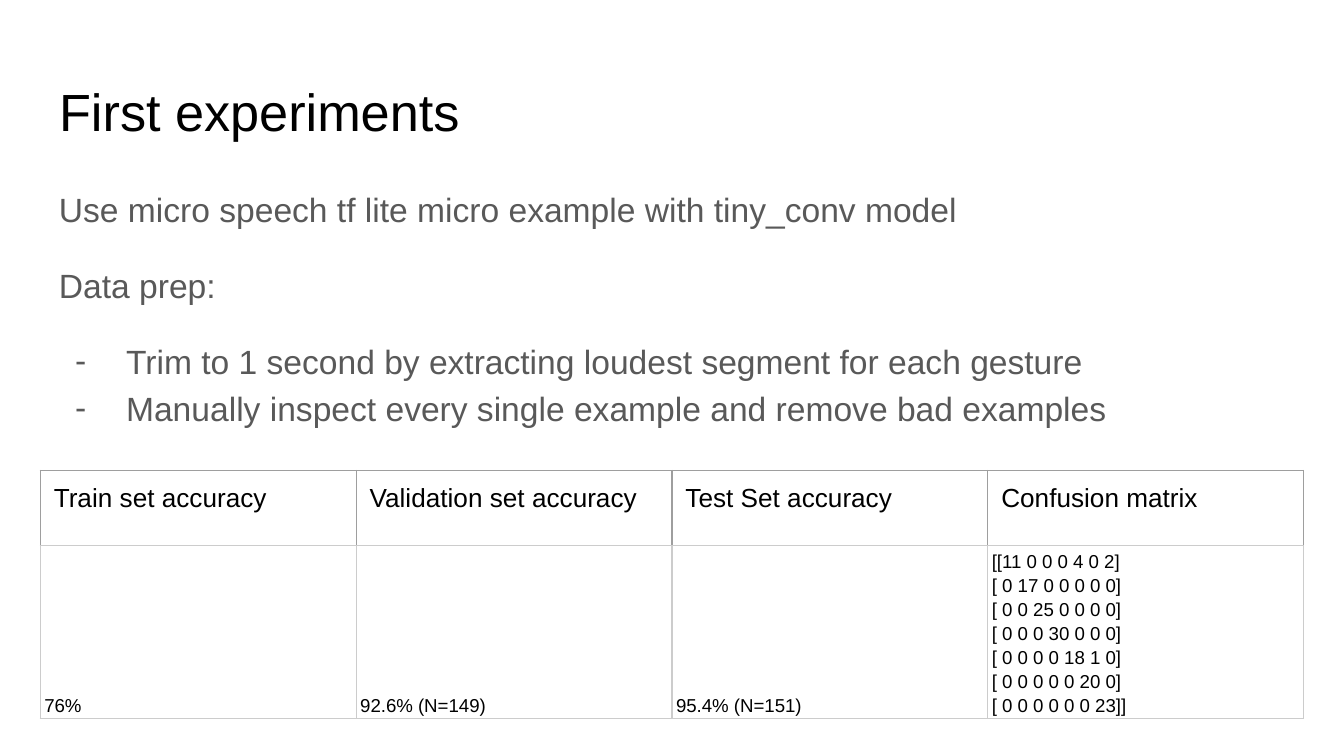
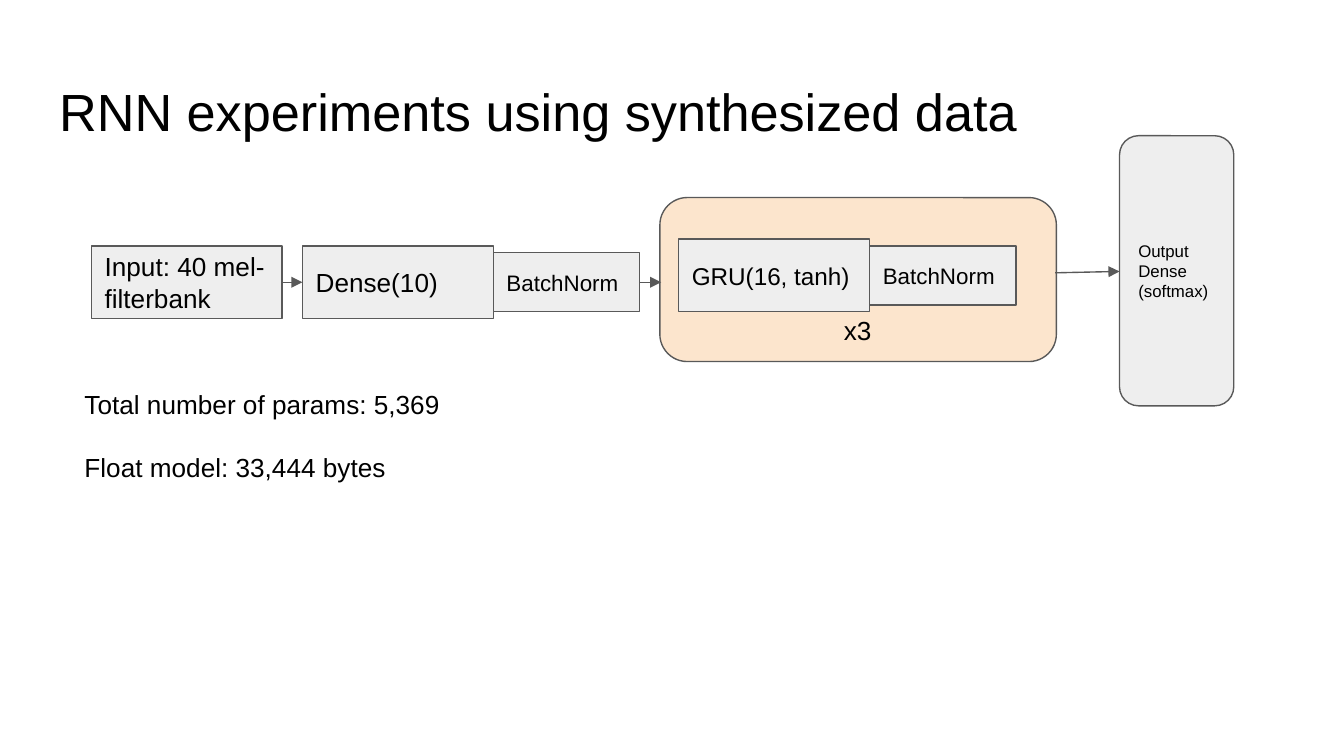
from lxml.etree import SubElement
from pptx import Presentation
from pptx.dml.color import RGBColor
from pptx.enum.shapes import MSO_CONNECTOR as Connector, MSO_SHAPE as Preset
from pptx.enum.text import MSO_ANCHOR as Anchor, MSO_AUTO_SIZE as AutoSize, PP_ALIGN as Align
from pptx.oxml.ns import qn
from pptx.util import Inches, Pt

FONT = "Arial"
LINE_WIDTH = Pt(0.75)
COLORS = {
    "text": "000000",
    "muted": "595959",
    "white": "FFFFFF",
    "box": "EEEEEE",
    "group": "FCE5CD",
    "header_border": "9E9E9E",
    "body_border": "CCCCCC",
}


def color(name):
    return RGBColor.from_string(COLORS[name])


def format_paragraph(paragraph, size, color_name="text", line_spacing=None):
    paragraph.alignment = Align.LEFT
    if line_spacing:
        paragraph.line_spacing = line_spacing
    font = paragraph.font
    font.name = FONT
    font.size = Pt(size)
    font.color.rgb = color(color_name)


def fill_frame(frame, text, size, color_name="text", line_spacing=None, anchor=Anchor.TOP):
    frame.word_wrap = True
    frame.auto_size = AutoSize.NONE
    frame.vertical_anchor = anchor
    frame.margin_left = frame.margin_right = Inches(0.1)
    frame.margin_top = frame.margin_bottom = Inches(0.1)
    frame.text = text
    for paragraph in frame.paragraphs:
        format_paragraph(paragraph, size, color_name, line_spacing)


def place(shape, left, top, width, height):
    shape.left, shape.top = Inches(left), Inches(top)
    shape.width, shape.height = Inches(width), Inches(height)


def add_titled_slide(presentation, title):
    slide = presentation.slides.add_slide(presentation.slide_layouts[5])
    place(slide.shapes.title, 0.34, 0.49, 9.32, 0.63)
    fill_frame(slide.shapes.title.text_frame, title, 28)
    return slide


def add_text(slide, box, text, size, color_name="text", line_spacing=None):
    shape = slide.shapes.add_textbox(*map(Inches, box))
    fill_frame(shape.text_frame, text, size, color_name, line_spacing)
    return shape.text_frame.paragraphs


def add_dash(paragraph):
    properties = paragraph._p.get_or_add_pPr()
    properties.set("marL", str(Inches(0.5)))
    properties.set("indent", str(Inches(-0.38)))
    bullet_color = properties.makeelement(qn("a:buClr"))
    SubElement(bullet_color, qn("a:srgbClr"), val=COLORS["muted"])
    bullet_font = properties.makeelement(qn("a:buFont"), typeface=FONT)
    bullet = properties.makeelement(qn("a:buChar"), char="-")
    default_font = properties.find(qn("a:defRPr"))
    for element in (bullet_color, bullet_font, bullet):
        default_font.addprevious(element)


def add_box(slide, box, text="", size=14, preset=Preset.RECTANGLE, fill="box"):
    shape = slide.shapes.add_shape(preset, *map(Inches, box))
    shape.shadow.inherit = False
    shape.fill.solid()
    shape.fill.fore_color.rgb = color(fill)
    shape.line.color.rgb = color("muted")
    shape.line.width = LINE_WIDTH
    if text:
        fill_frame(shape.text_frame, text, size, anchor=Anchor.MIDDLE)


def add_arrow(slide, start, end):
    points = map(Inches, (*start, *end))
    arrow = slide.shapes.add_connector(Connector.STRAIGHT, *points)
    arrow.line.color.rgb = color("muted")
    arrow.line.width = LINE_WIDTH
    SubElement(arrow.line._get_or_add_ln(), qn("a:tailEnd"), type="triangle")
    SubElement(arrow._element.spPr, qn("a:effectLst"))


def add_borders(cell, borders):
    properties = cell._tc.get_or_add_tcPr()
    for side, name in borders.items():
        line = SubElement(properties, qn(f"a:ln{side}"), w=str(LINE_WIDTH))
        fill = SubElement(line, qn("a:solidFill"))
        SubElement(fill, qn("a:srgbClr"), val=COLORS[name])


def format_cell(cell, text, size, borders, margins, anchor, line_spacing=None, filled=False):
    cell.text = text
    cell.vertical_anchor = anchor
    cell.margin_left = cell.margin_right = Inches(margins[0])
    cell.margin_top = cell.margin_bottom = Inches(margins[1])
    for paragraph in cell.text_frame.paragraphs:
        format_paragraph(paragraph, size, line_spacing=line_spacing)
    add_borders(cell, borders)
    if filled:
        cell.fill.solid()
        cell.fill.fore_color.rgb = color("white")
    else:
        cell.fill.background()


def add_results_table(slide, headers, values):
    column_width, row_heights = 2.35, (0.56, 1.14)
    frame = slide.shapes.add_table(
        2, len(headers), Inches(0.3), Inches(3.5),
        Inches(column_width * len(headers)), Inches(sum(row_heights)))
    table = frame.table
    table.first_row = table.horz_banding = False
    for row, height in zip(table.rows, row_heights):
        row.height = Inches(height)
    body_borders = dict.fromkeys("LRTB", "body_border")
    header_borders = {**dict.fromkeys("LRT", "header_border"), "B": "body_border"}
    for index, (header, value) in enumerate(zip(headers, values)):
        table.columns[index].width = Inches(column_width)
        format_cell(table.cell(0, index), header, 14, header_borders, (0.1, 0.1), Anchor.TOP)
        format_cell(table.cell(1, index), value, 10, body_borders, (0.03, 0.02),
                    Anchor.BOTTOM, 1.15, filled=index in (1, 2))


def build_first_experiments(presentation):
    slide = add_titled_slide(presentation, "First experiments")
    lines = [
        "Use micro speech tf lite micro example with tiny_conv model",
        "Data prep:",
        "Trim to 1 second by extracting loudest segment for each gesture",
        "Manually inspect every single example and remove bad examples",
    ]
    paragraphs = add_text(slide, (0.34, 1.26, 9.32, 3.74), "\n".join(lines), 18, "muted", 1.15)
    for paragraph in paragraphs[1:3]:
        paragraph.space_before = Pt(16)
    for paragraph in paragraphs[2:]:
        add_dash(paragraph)
    confusion_matrix = [
        "[[11 0 0 0 4 0 2]",
        "[ 0 17 0 0 0 0 0]",
        "[ 0 0 25 0 0 0 0]",
        "[ 0 0 0 30 0 0 0]",
        "[ 0 0 0 0 18 1 0]",
        "[ 0 0 0 0 0 20 0]",
        "[ 0 0 0 0 0 0 23]]",
    ]
    add_results_table(
        slide,
        ["Train set accuracy", "Validation set accuracy", "Test Set accuracy", "Confusion matrix"],
        ["76%", "92.6% (N=149)", "95.4% (N=151)", "\n".join(confusion_matrix)])


def build_rnn_experiments(presentation):
    slide = add_titled_slide(presentation, "RNN experiments using synthesized data")
    layer, norm = (1.42, 0.54), (1.09, 0.44)
    add_box(slide, (4.91, 1.47, 2.95, 1.22), preset=Preset.ROUNDED_RECTANGLE, fill="group")
    add_box(slide, (0.68, 1.83, *layer), "Input: 40 mel-filterbank")
    add_box(slide, (2.25, 1.83, *layer), "Dense(10)")
    add_box(slide, (3.67, 1.88, *norm), "BatchNorm", 12)
    add_box(slide, (5.05, 1.78, *layer), "GRU(16, tanh)", 13)
    add_box(slide, (6.47, 1.83, *norm), "BatchNorm", 12)
    add_text(slide, (6.18, 2.27, 0.8, 0.14), "x3", 14)
    add_box(slide, (8.33, 1.01, 0.85, 2.01), "Output Dense\v(softmax)", 9, Preset.ROUNDED_RECTANGLE)
    add_arrow(slide, (2.1, 2.1), (2.25, 2.1))
    add_arrow(slide, (4.76, 2.1), (4.92, 2.1))
    add_arrow(slide, (7.85, 2.03), (8.33, 2.02))
    model_size = add_text(
        slide, (0.53, 2.79, 3.99, 1.57),
        "Total number of params: 5,369\nFloat model: 33,444 bytes", 14)
    model_size[1].space_before = Pt(17)


def main():
    presentation = Presentation()
    presentation.slide_width = Inches(10)
    presentation.slide_height = Inches(10) * 9 // 16
    build_first_experiments(presentation)
    build_rnn_experiments(presentation)
    presentation.save("out.pptx")


if __name__ == "__main__":
    main()
